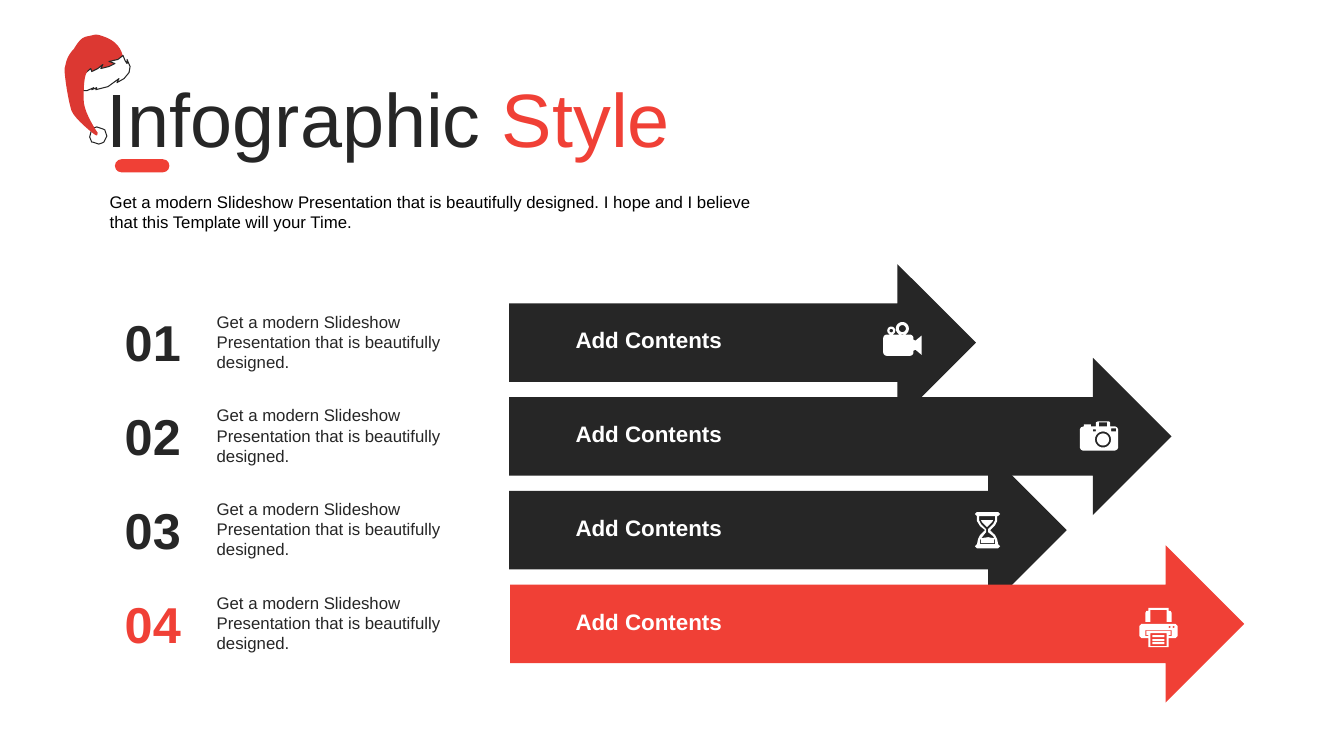
from math import cos, pi, sin

from pptx import Presentation
from pptx.dml.color import RGBColor
from pptx.enum.shapes import MSO_SHAPE
from pptx.enum.text import MSO_ANCHOR, MSO_AUTO_SIZE, PP_ALIGN
from pptx.util import Inches, Pt

ARROW, PILL = MSO_SHAPE.RIGHT_ARROW, MSO_SHAPE.ROUNDED_RECTANGLE
MIDDLE, TOP = MSO_ANCHOR.MIDDLE, MSO_ANCHOR.TOP
LEFT, CENTER = PP_ALIGN.LEFT, PP_ALIGN.CENTER
NO_FIT, GROW = MSO_AUTO_SIZE.NONE, MSO_AUTO_SIZE.SHAPE_TO_FIT_TEXT
DARK, RED, WHITE, HAT = "262626", "F04036", "FFFFFF", "DC3832"
FONT = "Arial"
STEP = 0.93
BLURB = "Get a modern Slideshow Presentation that is beautifully designed."
INTRO = BLURB + " I hope and I believe that this Template will your Time."

# left, width, colour of each arrow
ROWS = [(5.05, 4.63, DARK), (5.05, 6.57, DARK),
        (5.05, 5.53, DARK), (5.06, 7.28, RED)]


def color(code):
    return RGBColor.from_string(code)


def paint(shape, fill, line=None):
    shape.shadow.inherit = False
    shape.fill.solid()
    shape.fill.fore_color.rgb = color(fill)
    if line:
        shape.line.color.rgb = color(line)
        shape.line.width = Pt(0.75)
    else:
        shape.line.fill.background()


def add_solid(slide, kind, place, fill):
    shape = slide.shapes.add_shape(kind, *map(Inches, place))
    paint(shape, fill)
    return shape


def write(shape, runs, size, bold=False, align=LEFT, anchor=TOP, fit=GROW):
    """Fill a shape with one paragraph of (text, colour) runs."""
    frame = shape.text_frame
    frame.word_wrap = True
    frame.auto_size = fit
    frame.vertical_anchor = anchor
    para = frame.paragraphs[0]
    para.alignment = align
    for text, code in runs:
        run = para.add_run()
        run.text = text
        run.font.name = FONT
        run.font.size = Pt(size)
        run.font.bold = bold
        run.font.color.rgb = color(code)


def add_text(slide, place, text, code, size, **style):
    box = slide.shapes.add_textbox(*map(Inches, place))
    write(box, [(text, code)], size, **style)


def poly(text):
    """Read points from "x y, x y" text."""
    return [tuple(map(float, pair.split())) for pair in text.split(",")]


def box(left, top, right, low, radius=0):
    """Points of a box with round corners."""
    if not radius:
        return [(left, top), (right, top), (right, low), (left, low)]
    hubs = [(right - radius, low - radius), (left + radius, low - radius),
            (left + radius, top + radius), (right - radius, top + radius)]
    turns = [(x, y, (side + part / 6) * pi / 2)
             for side, (x, y) in enumerate(hubs) for part in range(7)]
    return [(x + radius * cos(a), y + radius * sin(a)) for x, y, a in turns]


def disc(x, y, radius):
    return box(x - radius, y - radius, x + radius, y + radius, radius)


def curve(text):
    """Points along joined cubic curves."""
    knots = poly(text)
    points = [knots[0]]
    for i in range(0, len(knots) - 1, 3):
        a, b, c, d = knots[i:i + 4]
        for t in (part / 8 for part in range(1, 9)):
            s = 1 - t
            points.append(tuple(
                s**3 * a[k] + 3 * s * s * t * b[k]
                + 3 * s * t * t * c[k] + t**3 * d[k] for k in (0, 1)))
    return points


def add_form(shapes, rings, fill, line=None):
    """Draw closed rings as one shape; inner rings cut holes."""
    rings = [[(Inches(x), Inches(y)) for x, y in ring] for ring in rings]
    form = shapes.build_freeform(*rings[0][0])
    form.add_line_segments(rings[0][1:])
    for ring in rings[1:]:
        form.move_to(*ring[0])
        form.add_line_segments(ring[1:])
    paint(form.convert_to_shape(), fill, line)


def film():
    return [box(8.76, 3.32, 9.06, 3.53, 0.035),
            poly("9.06 3.37, 9.08 3.38, 9.14 3.33, 9.14 3.52, 9.08 3.47, 9.06 3.48"),
            disc(8.95, 3.26, 0.065), disc(8.95, 3.26, 0.035),
            disc(8.84, 3.28, 0.04), disc(8.84, 3.28, 0.018)]


def camera():
    body = poly("10.71 4.26, 10.72 4.24, 10.75 4.23, 10.75 4.21, 10.82 4.21, "
                "10.82 4.23, 10.87 4.23, 10.87 4.19, 10.89 4.18, 11 4.18, "
                "11.01 4.19, 11.01 4.23, 11.06 4.23, 11.08 4.24, 11.09 4.26, "
                "11.09 4.44, 11.08 4.46, 11.06 4.47, 10.74 4.47, 10.72 4.46, "
                "10.71 4.44")
    return [body, disc(10.94, 4.36, 0.08), disc(10.94, 4.36, 0.06),
            box(10.84, 4.26, 10.87, 4.28), box(11.02, 4.25, 11.07, 4.28),
            box(10.9, 4.19, 10.98, 4.23)]


def glass():
    body = poly("9.69 5.08, 9.9 5.08, 9.92 5.1, 9.9 5.12, 9.89 5.12, "
                "9.89 5.17, 9.87 5.21, 9.82 5.26, 9.87 5.31, 9.89 5.35, "
                "9.9 5.4, 9.92 5.42, 9.9 5.44, 9.69 5.44, 9.67 5.42, "
                "9.69 5.4, 9.7 5.35, 9.72 5.31, 9.77 5.26, 9.72 5.22, "
                "9.69 5.17, 9.69 5.12, 9.67 5.1")
    hole = poly("9.71 5.12, 9.71 5.16, 9.73 5.2, 9.78 5.25, 9.78 5.28, "
                "9.74 5.33, 9.72 5.36, 9.72 5.4, 9.87 5.4, 9.87 5.36, "
                "9.85 5.32, 9.8 5.28, 9.8 5.25, 9.85 5.2, 9.87 5.16, 9.87 5.12")
    return [body, hole,
            poly("9.73 5.16, 9.85 5.16, 9.84 5.18, 9.79 5.23, 9.74 5.18"),
            poly("9.73 5.34, 9.8 5.33, 9.86 5.34, 9.86 5.39, 9.73 5.39")]


def printer():
    body = poly("11.32 6.19, 11.66 6.19, 11.68 6.21, 11.68 6.31, 11.66 6.33, "
                "11.59 6.33, 11.59 6.42, 11.39 6.42, 11.39 6.33, 11.32 6.33, "
                "11.3 6.31, 11.3 6.21")
    slot = poly("11.36 6.25, 11.36 6.31, 11.39 6.31, 11.39 6.3, 11.37 6.3, "
                "11.37 6.26, 11.61 6.26, 11.61 6.3, 11.59 6.3, 11.59 6.31, "
                "11.62 6.31, 11.62 6.25")
    feed = poly("11.39 6.03, 11.59 6.03, 11.59 6.06, 11.61 6.06, 11.62 6.08, "
                "11.62 6.17, 11.57 6.17, 11.57 6.05, 11.41 6.05, 11.41 6.17, "
                "11.36 6.17, 11.36 6.08, 11.37 6.06, 11.39 6.06")
    lines = [box(11.43, y, 11.55, y + 0.02) for y in (6.3, 6.34, 6.37)]
    return [body, slot, feed, box(11.41, 6.28, 11.57, 6.41), *lines,
            disc(11.6, 6.22, 0.01), disc(11.64, 6.22, 0.01)]


def add_hat(slide):
    cap = curve("0.69 0.73, 0.68 0.72, 0.66 0.71, 0.65 0.7, 0.64 0.62, 0.68 0.54, "
                "0.73 0.49, 0.77 0.43, 0.8 0.37, 0.87 0.36, 0.94 0.35, 0.94 0.33, "
                "1.02 0.36, 1.11 0.39, 1.19 0.44, 1.22 0.56, 1.17 0.61, 1.11 0.66, "
                "1.05 0.71, 0.98 0.71, 0.89 0.71, 0.83 0.72, 0.78 0.72, 0.75 0.72, "
                "0.69 0.73")
    ball = poly("0.89 1.36, 0.9 1.32, 0.91 1.29, 0.93 1.27, 0.96 1.26, 0.99 1.27, "
                "1.02 1.28, 1.04 1.29, 1.05 1.32, 1.06 1.35, 1.04 1.39, 1.03 1.41, "
                "1.01 1.42, 0.98 1.43, 0.95 1.42, 0.92 1.41, 0.91 1.41")
    fur = poly("1.26 0.59, 1.26 0.63, 1.24 0.6, 1.22 0.55, 1.17 0.59, 1.08 0.61, "
               "1.14 0.63, 1.08 0.66, 1 0.68, 1.02 0.64, 0.97 0.68, 0.91 0.71, "
               "0.9 0.68, 0.84 0.73, 0.87 0.7, 0.81 0.72, 0.75 0.73, 0.7 0.73, "
               "0.68 0.7, 0.67 0.75, 0.69 0.79, 0.67 0.78, 0.74 0.88, 0.72 0.87, "
               "0.74 0.9, 0.78 0.9, 0.86 0.9, 0.93 0.87, 0.91 0.89, 0.96 0.87, "
               "0.95 0.89, 1.07 0.86, 1.18 0.78, 1.16 0.82, 1.23 0.78, 1.28 0.72, "
               "1.29 0.66")
    tail = curve("0.92 1.32, 0.92 1.32, 0.75 1.19, 0.71 1.1, 0.68 1.01, 0.64 0.77, "
                 "0.64 0.68, 0.65 0.58, 0.87 0.47, 0.91 0.48, 0.96 0.48, 0.89 0.66, "
                 "0.86 0.72, 0.83 0.77, 0.83 0.9, 0.83 0.99, 0.83 1.09, 0.91 1.23, "
                 "0.97 1.32, 0.96 1.33, 0.98 1.37, 0.92 1.32")
    group = slide.shapes.add_group_shape()
    for ring, fill, line in ((cap, HAT, None), (ball, WHITE, DARK),
                             (fur, WHITE, DARK), (tail, HAT, None)):
        add_form(group.shapes, [ring], fill, line)


def add_title(slide):
    title = slide.shapes.title
    title.left, title.top = Inches(0.96), Inches(0.66)
    title.width, title.height = Inches(6.77), Inches(1.01)
    write(title, [("Infographic", DARK), (" Style", RED)], 54,
          anchor=MIDDLE, fit=NO_FIT)


def main():
    deck = Presentation()
    deck.slide_width, deck.slide_height = Inches(13.33), Inches(7.5)
    slide = deck.slides.add_slide(deck.slide_layouts[5])
    add_title(slide)
    for i, (left, width, code) in enumerate(ROWS):
        add_solid(slide, ARROW, (left, 2.62 + STEP * i, width, 1.56), code)
    for i, (left, width, code) in enumerate(ROWS):
        top = 3.04 + STEP * i
        add_text(slide, (1.04, top, 0.95, 0.71), f"{i + 1:02}", code, 36,
                 bold=True, align=CENTER)
        add_text(slide, (2.05, top, 2.55, 0.71), BLURB, DARK, 12)
        add_text(slide, (5.61, top + 0.15, 2.47, 0.37), "Add Contents",
                 WHITE, 16, bold=True)
    for icon in (printer, glass, camera, film):
        add_form(slide.shapes, icon(), WHITE)
    add_text(slide, (0.99, 1.85, 6.74, 0.5), INTRO, "000000", 12)
    add_hat(slide)
    bar = add_solid(slide, PILL, (1.14, 1.58, 0.54, 0.13), RED)
    bar.adjustments[0] = 0.5
    deck.save("out.pptx")


if __name__ == "__main__":
    main()
